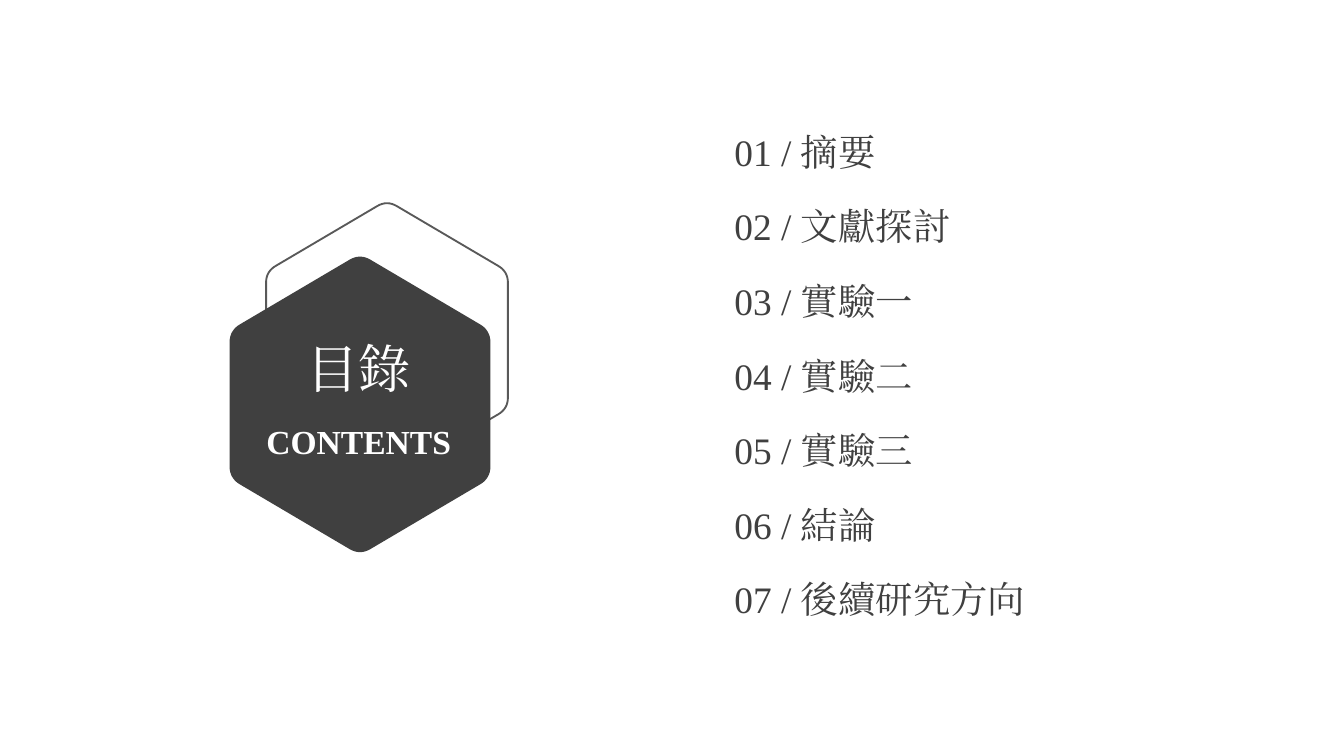
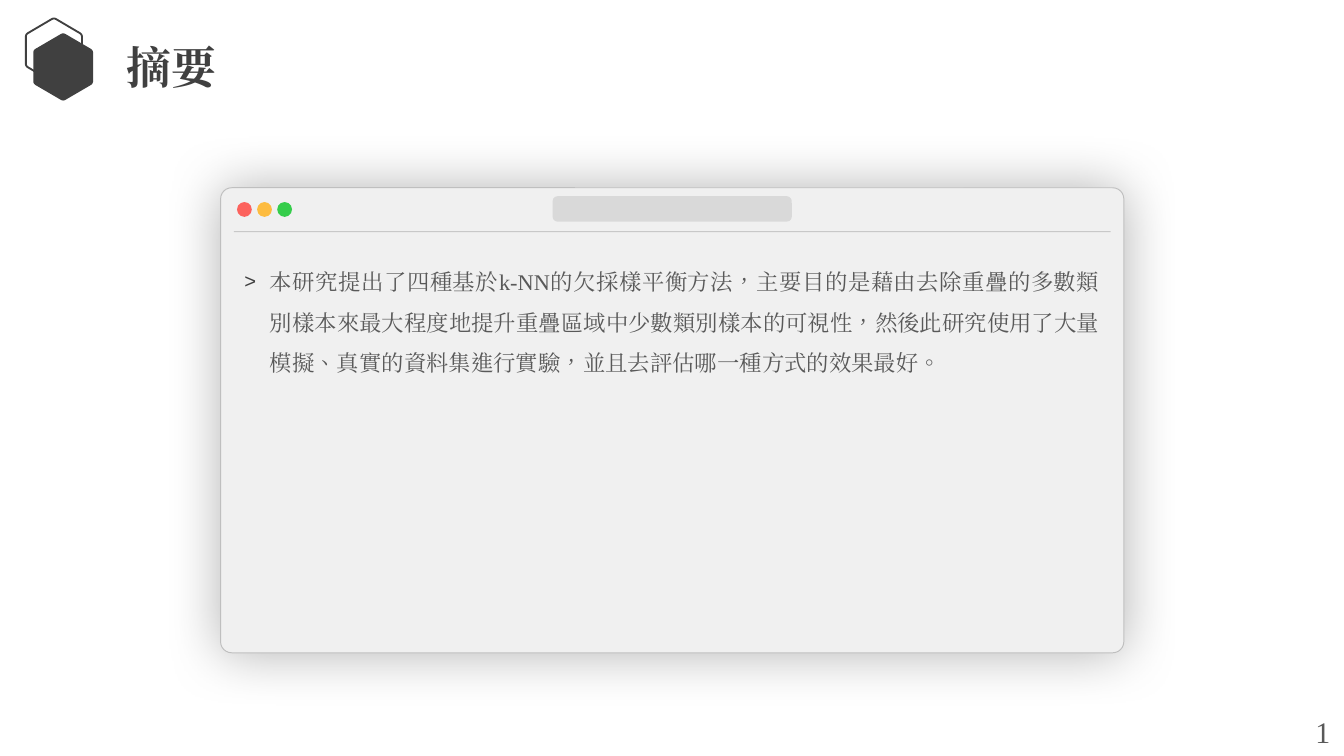
from lxml import etree
from pptx import Presentation
from pptx import util as u
from pptx.dml import color
from pptx.enum import shapes, text
from pptx.oxml import ns

FONT = "Times New Roman"
DARK, GREY, WHITE = "404040", "595959", "FFFFFF"
PANEL, BORDER, BAR = "F0F0F0", "BFBFBF", "D9D9D9"
TIGHT = (0.18, 0.1, 0.18, 0.1)
ROOMY = (0.25, 0.13, 0.25, 0.13)

CHAPTERS = ["摘要", "文獻探討", "實驗一", "實驗二", "實驗三", "結論", "後續研究方向"]
ABSTRACT = (
    "本研究提出了四種基於k-NN的欠採樣平衡方法，主要目的是藉由去除重疊的多數類別樣本"
    "來最大程度地提升重疊區域中少數類別樣本的可視性，然後此研究使用了大量模擬、真實的"
    "資料集進行實驗，並且去評估哪一種方式的效果最好。"
)


def rgb(value):
    return color.RGBColor.from_string(value)


def set_values(target, values):
    for name, value in values.items():
        setattr(target, name, value)


def add_xml(parent, tag, **attributes):
    element = etree.SubElement(parent, ns.qn(tag))
    for name, value in attributes.items():
        element.set(name, str(value))
    return element


def paint(shape, fill=None, line=None, width=1):
    shape.shadow.inherit = False
    if fill:
        shape.fill.solid()
        shape.fill.fore_color.rgb = rgb(fill)
    else:
        shape.fill.background()
    if line:
        shape.line.color.rgb = rgb(line)
        shape.line.width = u.Pt(width)
    else:
        shape.line.fill.background()


def add_preset(slide, kind, box, radius=None, **colours):
    shape = slide.shapes.add_shape(kind, *map(u.Cm, box))
    if radius is not None:
        shape.adjustments[0] = radius
    paint(shape, **colours)
    return shape


def add_rounded_hexagon(slide, box, **colours):
    """Upright hexagon that just fills the box, each corner cut by a curve."""
    left, top, width, height = box
    corners = [(0.5, -0.01), (1, 0.25), (1, 0.75), (0.5, 1.01), (0, 0.75), (0, 0.25)]
    trim, steps = 0.08, 8
    points = []
    for index, (x, y) in enumerate(corners):
        before, after = corners[index - 1], corners[(index + 1) % 6]
        start = (x + trim * (before[0] - x), y + trim * (before[1] - y))
        end = (x + trim * (after[0] - x), y + trim * (after[1] - y))
        for step in range(steps + 1):
            t = step / steps
            px, py = (
                (1 - t) ** 2 * a + 2 * t * (1 - t) * b + t**2 * c
                for a, b, c in zip(start, (x, y), end)
            )
            points.append((u.Cm(left + px * width), u.Cm(top + py * height)))
    builder = slide.shapes.build_freeform(*points[0])
    builder.add_line_segments(points[1:], close=True)
    paint(builder.convert_to_shape(), **colours)


def write(shape, lines, insets=TIGHT, wrap=True, grow=True, **paragraph_format):
    """Fill a shape with (text, font format) lines."""
    frame = shape.text_frame
    sides = ("margin_left", "margin_top", "margin_right", "margin_bottom")
    set_values(frame, dict(zip(sides, map(u.Cm, insets))))
    fit = text.MSO_AUTO_SIZE
    set_values(frame, {
        "word_wrap": wrap,
        "vertical_anchor": text.MSO_ANCHOR.TOP,
        "auto_size": fit.SHAPE_TO_FIT_TEXT if grow else fit.NONE,
    })
    for index, (words, font_format) in enumerate(lines):
        paragraph = frame.add_paragraph() if index else frame.paragraphs[0]
        set_values(paragraph, {"alignment": text.PP_ALIGN.LEFT, **paragraph_format})
        run = paragraph.add_run()
        run.text = words
        values = dict(font_format)
        run.font.color.rgb = rgb(values.pop("colour"))
        values["size"] = u.Pt(values["size"])
        set_values(run.font, {"name": FONT, **values})
        properties = run._r.get_or_add_rPr()
        properties.set("lang", "zh-TW")
        add_xml(properties, "a:ea", typeface=FONT)
    return frame


def add_text(slide, box, lines, **options):
    return write(slide.shapes.add_textbox(*map(u.Cm, box)), lines, **options)


def add_bullet(paragraph, mark, indent):
    properties = paragraph._p.get_or_add_pPr()
    properties.set("marL", str(u.Cm(indent)))
    properties.set("indent", str(-u.Cm(indent)))
    add_xml(add_xml(properties, "a:buClr"), "a:srgbClr", val=DARK)
    add_xml(properties, "a:buSzPct", val=90000)
    add_xml(properties, "a:buFont", typeface="Arial")
    add_xml(properties, "a:buChar", char=mark)


def add_glow(shape):
    """Soft, centred shadow around a panel."""
    effects = shape._element.spPr.find(ns.qn("a:effectLst"))
    shadow = add_xml(effects, "a:outerShdw", blurRad=u.Pt(30), dist=0, dir=0,
                     algn="ctr", rotWithShape=0)
    add_xml(add_xml(shadow, "a:srgbClr", val="000000"), "a:alpha", val=30000)


def add_contents_emblem(slide, box):
    left, top, width, height = box
    add_rounded_hexagon(slide, (left + 0.69, top, 4.57, 5.18), line=GREY)
    add_rounded_hexagon(slide, (left, top + 1.01, 4.93, height - 1.01), fill=DARK)
    frame = add_text(
        slide, (left + 0.13, top + 2.41, 4.62, 2.59),
        [("目錄", {"size": 28, "colour": WHITE}),
         ("CONTENTS", {"size": 18, "bold": True, "colour": WHITE})],
        alignment=text.PP_ALIGN.CENTER)
    frame.paragraphs[0].space_after = u.Pt(12)


def add_chapter_list(slide, box):
    left, top, width, height = box
    row_height = 1.04
    pitch = (height - row_height) / (len(CHAPTERS) - 1)
    for index, chapter in enumerate(CHAPTERS):
        add_text(slide, (left, top + index * pitch, width, row_height),
                 [(f"{index + 1:02} / {chapter}", {"size": 20, "colour": DARK})])


def add_header(slide, box, title):
    left, top, width, height = box
    add_rounded_hexagon(slide, (left, top, 1.06, 1.2), line=DARK)
    add_rounded_hexagon(slide, (left + 0.14, top + 0.28, 1.13, 1.27), fill=DARK)
    add_text(slide, (left + 1.72, top + 0.31, width - 1.72, 1.22),
             [(title, {"size": 24, "bold": True, "colour": DARK})])


def add_window(slide, box, body):
    left, top, width, height = box
    kinds = shapes.MSO_SHAPE
    # Frame
    frame = add_preset(slide, kinds.ROUNDED_RECTANGLE, box, 0.024,
                       fill=PANEL, line=BORDER, width=0.5)
    add_glow(frame)
    # Buttons and address bar
    for index, colour in enumerate(("FC625D", "FDBC40", "35CD4B")):
        add_preset(slide, kinds.OVAL,
                   (left + 0.31 + index * 0.38, top + 0.27, 0.28, 0.28), fill=colour)
    bar_width = 4.52
    add_preset(slide, kinds.ROUNDED_RECTANGLE,
               (left + (width - bar_width) / 2, top + 0.16, bar_width, 0.48),
               0.19, fill=BAR)
    # Divider
    y = u.Cm(top + 0.83)
    divider = slide.shapes.add_connector(
        shapes.MSO_CONNECTOR.STRAIGHT, u.Cm(left + 0.25), y, u.Cm(left + width - 0.25), y)
    divider.line.color.rgb = rgb(BORDER)
    divider.line.width = u.Pt(0.5)
    properties = divider._element.spPr
    add_xml(next(properties.iter(ns.qn("a:srgbClr"))), "a:alpha", val=80000)
    add_xml(properties, "a:effectLst")
    # Body
    panel = add_preset(slide, kinds.ROUNDED_RECTANGLE,
                       (left + 0.2, top + 1.14, width - 0.4, 5.77), 0)
    content = write(panel, [(body, {"size": 12, "colour": GREY})], insets=ROOMY,
                    grow=False, alignment=text.PP_ALIGN.JUSTIFY, line_spacing=1.5)
    add_bullet(content.paragraphs[0], ">", 0.48)


def add_page_number(slide, box, number):
    add_text(slide, box, [(str(number), {"size": 16, "colour": GREY})],
             insets=ROOMY, wrap=False)


def build_contents_slide(slide):
    add_contents_emblem(slide, (4.34, 3.84, 5.26, 6.6))
    add_chapter_list(slide, (13.7, 2.34, 8.28, 9.5))


def build_abstract_slide(slide):
    add_window(slide, (4.17, 3.55, 17.07, 8.79), ABSTRACT)
    add_header(slide, (0.49, 0.35, 4.41, 1.55), CHAPTERS[0])
    add_page_number(slide, (24.61, 13.36, 0.79, 0.94), 1)


def main():
    presentation = Presentation()
    presentation.slide_width = u.Cm(25.4)
    presentation.slide_height = u.Cm(14.29)
    for build in (build_contents_slide, build_abstract_slide):
        build(presentation.slides.add_slide(presentation.slide_layouts[6]))
    presentation.save("out.pptx")


if __name__ == "__main__":
    main()
